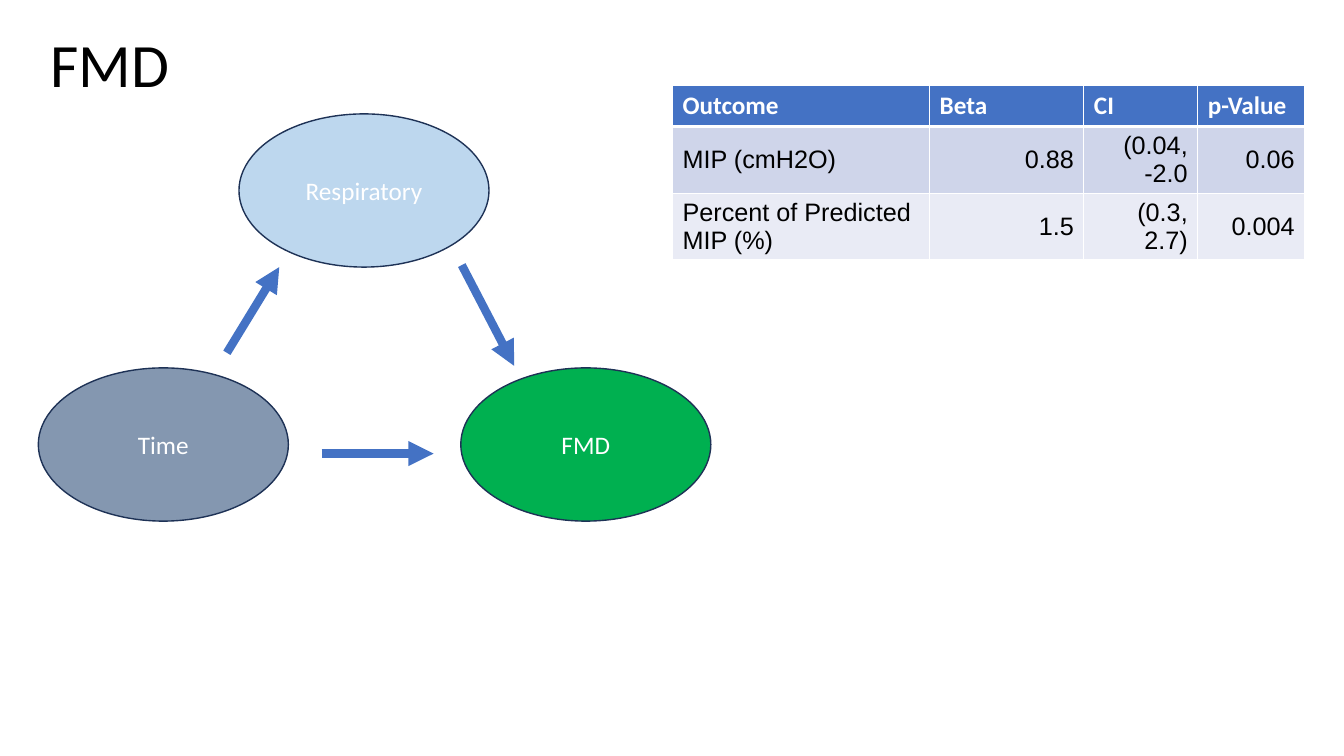
from dataclasses import dataclass

from lxml.etree import SubElement
from pptx import Presentation
from pptx.dml.color import RGBColor
from pptx.enum.shapes import MSO_CONNECTOR, MSO_SHAPE
from pptx.enum.text import MSO_ANCHOR, PP_ALIGN
from pptx.oxml.ns import qn
from pptx.util import Inches, Pt


@dataclass(frozen=True)
class Theme:
    white: str = "FFFFFF"
    black: str = "000000"
    blue: str = "4472C4"
    outline: str = "1E3256"
    time: str = "8497B0"
    respiratory: str = "BDD7EE"
    outcome: str = "00B050"
    bands: tuple[str, str] = ("CFD5EA", "E9EBF5")
    font: str = "Calibri"
    data_font: str = "Arial"
    title_size: int = 44
    text_size: int = 18


@dataclass(frozen=True)
class Node:
    label: str
    left: float
    top: float
    fill: str


@dataclass(frozen=True)
class Arrow:
    start: tuple[float, float]
    end: tuple[float, float]


T = Theme()
NODE_SIZE = Inches(2.48), Inches(1.52)
NODES = [
    Node("Time", 0.38, 3.65, T.time),
    Node("Respiratory", 2.37, 1.13, T.respiratory),
    Node("FMD", 4.57, 3.65, T.outcome),
]
ARROWS = [
    Arrow((2.25, 3.5), (2.77, 2.65)),
    Arrow((3.19, 4.5), (4.3, 4.5)),
    Arrow((4.58, 2.63), (5.1, 3.63)),
]
COLUMNS = [2.55, 1.53, 1.13, 1.06]
ROW_HEIGHT = 0.37
ROWS = [
    ["Outcome", "Beta", "CI", "p-Value"],
    ["MIP (cmH2O)", "0.88", "(0.04, -2.0", "0.06"],
    ["Percent of Predicted MIP (%)", "1.5", "(0.3, 2.7)", "0.004"],
]


def rgb(color: str) -> RGBColor:
    return RGBColor.from_string(color)


def write(tf, text: str, *, size: int = T.text_size, color: str = T.white,
          font: str = T.font, bold: bool = False, align=PP_ALIGN.LEFT,
          spacing: float = 1.0) -> None:
    p = tf.paragraphs[0]
    p.alignment = align
    p.line_spacing = spacing
    r = p.add_run()
    r.text = text
    r.font.size = Pt(size)
    r.font.name = font
    r.font.bold = bold
    r.font.color.rgb = rgb(color)


def add_title(s, text: str) -> None:
    sp = s.shapes.title
    sp.left, sp.top = Inches(0.4), Inches(-0.05)
    sp.width, sp.height = Inches(11.5), Inches(1.45)
    sp.text_frame.vertical_anchor = MSO_ANCHOR.MIDDLE
    write(sp.text_frame, text, size=T.title_size, color=T.black, spacing=0.9)


def add_node(s, node: Node) -> None:
    sp = s.shapes.add_shape(MSO_SHAPE.OVAL, Inches(node.left), Inches(node.top), *NODE_SIZE)
    sp.shadow.inherit = False
    sp.fill.solid()
    sp.fill.fore_color.rgb = rgb(node.fill)
    sp.line.color.rgb = rgb(T.outline)
    sp.line.width = Pt(1)
    sp.text_frame.vertical_anchor = MSO_ANCHOR.MIDDLE
    write(sp.text_frame, node.label, align=PP_ALIGN.CENTER)


def add_arrow(s, arrow: Arrow) -> None:
    ends = [Inches(v) for v in arrow.start + arrow.end]
    cxn = s.shapes.add_connector(MSO_CONNECTOR.STRAIGHT, *ends)
    cxn.line.color.rgb = rgb(T.blue)
    cxn.line.width = Pt(6)
    SubElement(cxn.line._get_or_add_ln(), qn("a:tailEnd"), type="triangle")
    SubElement(cxn._element.spPr, qn("a:effectLst"))


def set_borders(cell, row: int) -> None:
    """Draw white cell borders, thicker between header and body."""
    widths = {"L": 1, "R": 1, "T": 3 if row == 1 else 1, "B": 3 if row == 0 else 1}
    tcPr = cell._tc.get_or_add_tcPr()
    for side, width in widths.items():
        ln = SubElement(tcPr, qn(f"a:ln{side}"), w=str(Pt(width)))
        SubElement(SubElement(ln, qn("a:solidFill")), qn("a:srgbClr"), val=T.white)


def add_results(s) -> None:
    table = s.shapes.add_table(
        len(ROWS), len(COLUMNS), Inches(6.67), Inches(0.85),
        Inches(sum(COLUMNS)), Inches(ROW_HEIGHT * len(ROWS))).table
    for column, width in zip(table.columns, COLUMNS):
        column.width = Inches(width)
    for i, values in enumerate(ROWS):
        table.rows[i].height = Inches(ROW_HEIGHT)
        for j, value in enumerate(values):
            cell = table.cell(i, j)
            set_borders(cell, i)
            cell.fill.solid()
            if i == 0:
                cell.fill.fore_color.rgb = rgb(T.blue)
                write(cell.text_frame, value, bold=True)
            else:
                cell.fill.fore_color.rgb = rgb(T.bands[(i - 1) % 2])
                cell.vertical_anchor = MSO_ANCHOR.MIDDLE
                write(cell.text_frame, value, color=T.black, font=T.data_font,
                      align=PP_ALIGN.RIGHT if j else PP_ALIGN.LEFT)


def main() -> None:
    prs = Presentation()
    prs.slide_width, prs.slide_height = Inches(13.33), Inches(7.5)
    s = prs.slides.add_slide(prs.slide_layouts[5])
    add_title(s, "FMD")
    for node in NODES:
        add_node(s, node)
    for arrow in ARROWS:
        add_arrow(s, arrow)
    add_results(s)
    prs.save("out.pptx")


if __name__ == "__main__":
    main()
